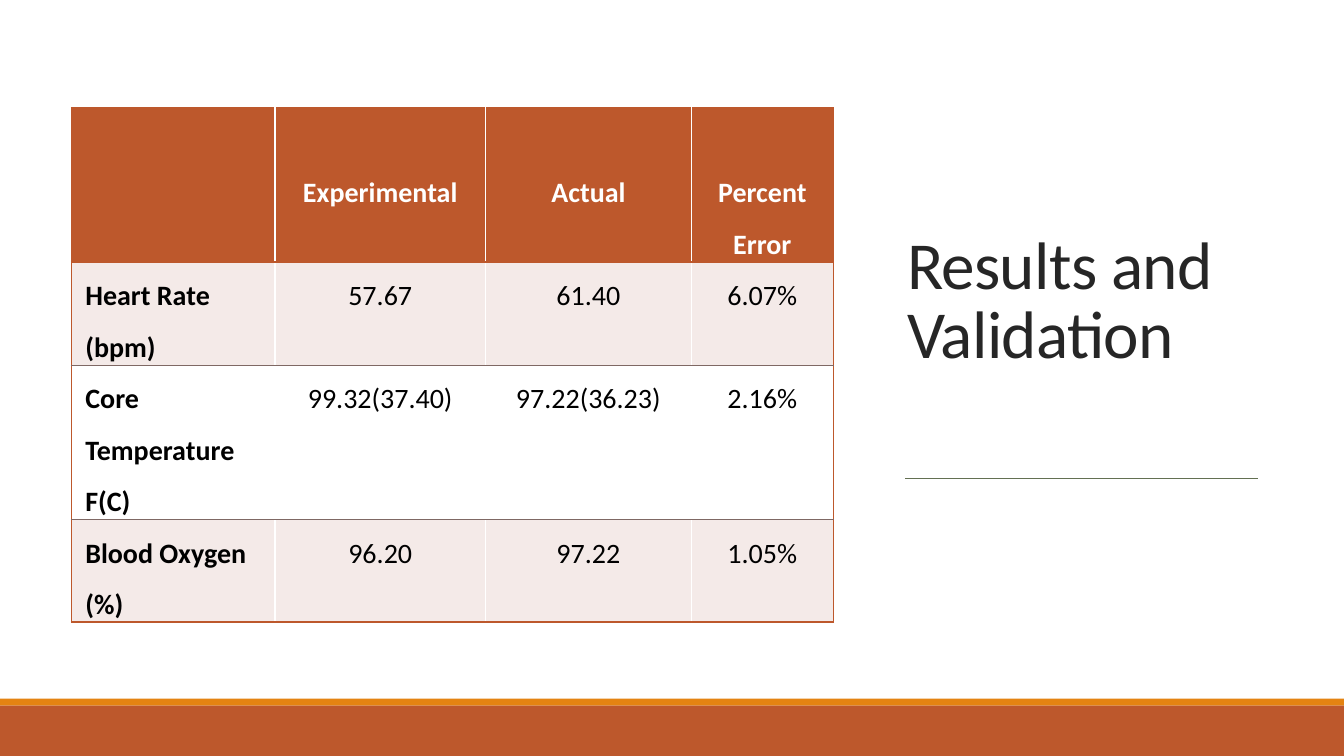
from lxml import etree
from pptx import Presentation
from pptx.dml.color import RGBColor
from pptx.enum import shapes, text
from pptx.oxml import ns
from pptx.util import Pt

RUST = RGBColor(0xBD, 0x58, 0x2C)
ORANGE = RGBColor(0xE4, 0x83, 0x12)
BLUSH = RGBColor(0xF4, 0xEA, 0xE8)
WHITE = RGBColor(0xFF, 0xFF, 0xFF)
BLACK = RGBColor(0, 0, 0)
CHARCOAL = RGBColor(0x26, 0x26, 0x26)
OLIVE = RGBColor(0x63, 0x70, 0x52)
RULE_GREY = RGBColor(0x7F, 0x68, 0x64)

FONT = "Calibri"
SLIDE_W, SLIDE_H = 960, 540
LINE_HEIGHT = 36.6
COL_WIDTHS = (145.4, 150.5, 146.9, 101.5)
ROW_HEIGHTS = (109, 71, 109, 71)
ROWS = (
    ("", "Experimental", "Actual", "Percent Error"),
    ("Heart Rate (bpm)", "57.67", "61.40", "6.07%"),
    ("Core Temperature F(C)", "99.32(37.40)", "97.22(36.23)", "2.16%"),
    ("Blood Oxygen (%)", "96.20", "97.22", "1.05%"),
)


def apply(target, **values):
    for name, value in values.items():
        setattr(target, name, value)


def format_font(font, color, **values):
    apply(font, name=FONT, **values)
    font.color.rgb = color


def add_title(slide, words):
    sp = slide.shapes.title
    apply(sp, left=Pt(640.8), top=Pt(50.4), width=Pt(267.84), height=Pt(290.16))
    tf = sp.text_frame
    apply(tf, text=words, word_wrap=True, auto_size=text.MSO_AUTO_SIZE.NONE,
          vertical_anchor=text.MSO_ANCHOR.BOTTOM, margin_bottom=Pt(75))
    p = tf.paragraphs[0]
    apply(p, alignment=text.PP_ALIGN.LEFT, line_spacing=0.85)
    r = p.runs[0]
    format_font(r.font, CHARCOAL, size=Pt(48))
    r.font._element.set("spc", "-50")


def add_band(slide, top, height, color):
    """Add a full-width bar."""
    sp = slide.shapes.add_shape(shapes.MSO_SHAPE.RECTANGLE, 0, Pt(top),
                                Pt(SLIDE_W), Pt(height))
    sp.shadow.inherit = False
    sp.fill.solid()
    sp.fill.fore_color.rgb = color
    sp.line.fill.background()


def add_rule(slide, left, right, y):
    line = slide.shapes.add_connector(shapes.MSO_CONNECTOR.STRAIGHT,
                                      Pt(left), Pt(y), Pt(right), Pt(y))
    line.line.color.rgb = OLIVE
    line.line.width = Pt(0.5)
    etree.SubElement(line._element.spPr, ns.qn("a:effectLst"))


def set_borders(cell, borders):
    """Draw the sides given as {tag: (colour, points)}, in schema order L R T B."""
    props = cell._tc.get_or_add_tcPr()
    for index, (tag, (color, width)) in enumerate(borders.items()):
        ln = etree.Element(ns.qn("a:" + tag), w=str(Pt(width)))
        fill = etree.SubElement(ln, ns.qn("a:solidFill"))
        etree.SubElement(fill, ns.qn("a:srgbClr"), val=str(color))
        props.insert(index, ln)


def cell_borders(row, col):
    outer, inner = (RUST, 1), (RULE_GREY, 0.5)
    borders = {}
    if col == 0:
        borders["lnL"] = outer
    if col == len(COL_WIDTHS) - 1:
        borders["lnR"] = outer
    borders["lnT"] = outer if row < 2 else inner
    borders["lnB"] = outer if row in (0, len(ROWS) - 1) else inner
    return borders


def fill_cell(cell, words, row, col):
    header = row == 0
    apply(cell, margin_left=Pt(10), margin_right=Pt(10), margin_bottom=0,
          margin_top=Pt(LINE_HEIGHT if header else 0))
    cell.fill.solid()
    cell.fill.fore_color.rgb = RUST if header else (BLUSH if row % 2 else WHITE)
    set_borders(cell, cell_borders(row, col))
    if not words:
        return
    cell.text = words
    p = cell.text_frame.paragraphs[0]
    apply(p, line_spacing=1.5,
          alignment=text.PP_ALIGN.CENTER if col else text.PP_ALIGN.LEFT)
    format_font(p.runs[0].font, WHITE if header else BLACK,
                size=Pt(20), bold=header or col == 0)


def add_results_table(slide, left, top):
    frame = slide.shapes.add_table(len(ROWS), len(COL_WIDTHS), Pt(left), Pt(top),
                                   Pt(sum(COL_WIDTHS)), Pt(sum(ROW_HEIGHTS)))
    table = frame.table
    for column, width in zip(table.columns, COL_WIDTHS):
        column.width = Pt(width)
    for row, (height, values) in enumerate(zip(ROW_HEIGHTS, ROWS)):
        table.rows[row].height = Pt(height)
        for col, words in enumerate(values):
            fill_cell(table.cell(row, col), words, row, col)


def main():
    prs = Presentation()
    apply(prs, slide_width=Pt(SLIDE_W), slide_height=Pt(SLIDE_H))
    slide = prs.slides.add_slide(prs.slide_layouts.get_by_name("Title Only"))
    add_title(slide, "Results and Validation")
    add_rule(slide, 646.6, 898.6, 342)
    add_band(slide, 499, 5, ORANGE)
    add_band(slide, 504, 36, RUST)
    add_results_table(slide, 51, 77)
    prs.save("out.pptx")


if __name__ == "__main__":
    main()
